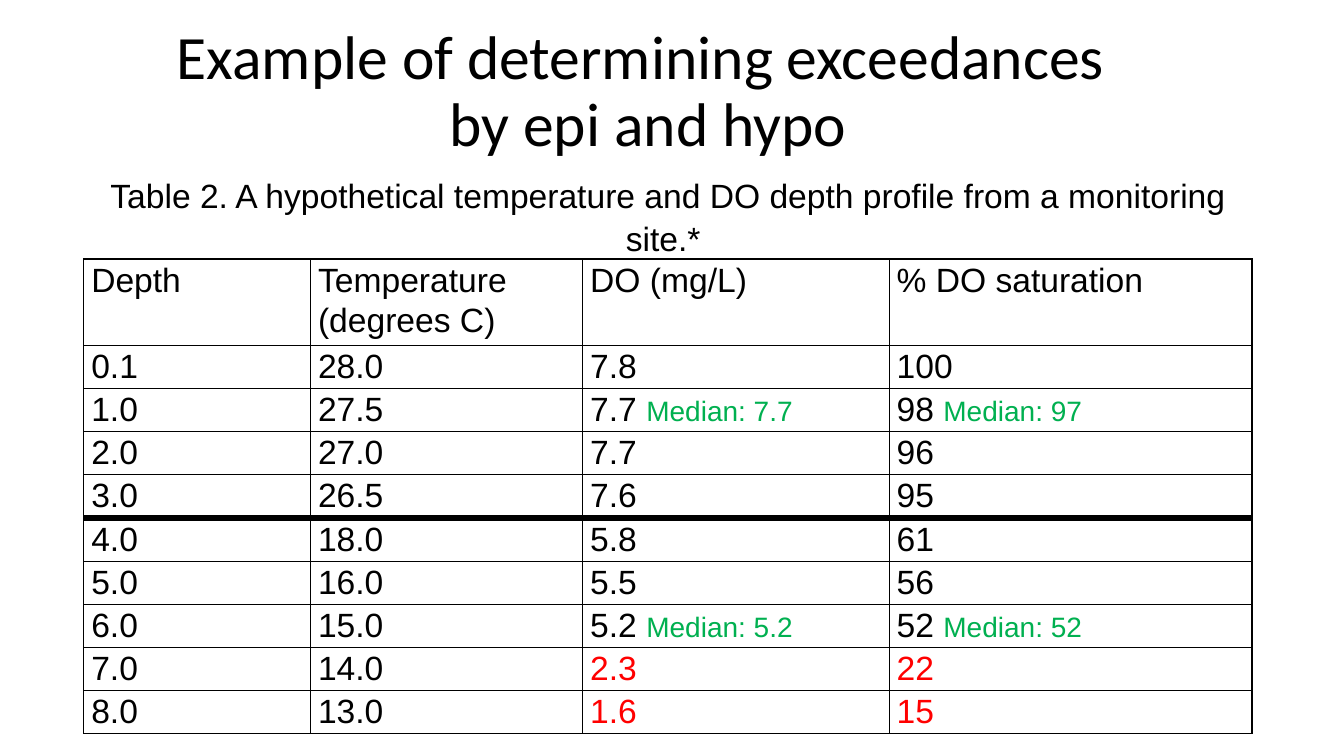
from pptx import Presentation
from pptx.dml.color import RGBColor
from pptx.enum.text import MSO_ANCHOR, PP_ALIGN
from pptx.oxml.ns import qn
from pptx.util import Pt
from lxml.etree import SubElement

BLACK, GREEN, RED = "000000", "00B050", "FF0000"
CAPTION = "Table 2. A hypothetical temperature and DO depth profile from a monitoring site.* "
COLUMN_WIDTHS = [162, 194.4, 218.9, 259.2]
HEADER = ["Depth", "Temperature (degrees C)", "DO (mg/L)", "% DO saturation"]
PROFILE = [
    ["0.1", "28.0", "7.8", "100"],
    ["1.0", "27.5", "7.7", "98"],
    ["2.0", "27.0", "7.7", "96"],
    ["3.0", "26.5", "7.6", "95"],
    ["4.0", "18.0", "5.8", "61"],
    ["5.0", "16.0", "5.5", "56"],
    ["6.0", "15.0", "5.2", "52"],
    ["7.0", "14.0", "2.3", "22"],
    ["8.0", "13.0", "1.6", "15"],
]
MEDIANS = {("1.0", 2): "7.7", ("1.0", 3): "97", ("6.0", 2): "5.2", ("6.0", 3): "52"}
EXCEEDING_DEPTHS = ("7.0", "8.0")
LAST_EPI_ROW = 5


def rgb(value):
    return RGBColor.from_string(value)


def set_font(font, name, size, color):
    font.name = name
    font.size = Pt(size)
    font.color.rgb = rgb(color)


def add_title(s, text):
    tf = s.shapes.add_textbox(Pt(32.4), Pt(14.4), Pt(861.1), Pt(104.4)).text_frame
    tf.word_wrap = True
    tf.vertical_anchor = MSO_ANCHOR.MIDDLE
    p = tf.paragraphs[0]
    p.text = text
    p.alignment = PP_ALIGN.CENTER
    p.line_spacing = 0.9
    set_font(p.font, "Calibri", 44, BLACK)


def set_borders(cell, widths):
    tc_pr = cell._tc.get_or_add_tcPr()
    for side, width in zip("LRTB", widths):
        ln = SubElement(tc_pr, qn(f"a:ln{side}"), w=str(Pt(width)))
        if width:
            fill = SubElement(ln, qn("a:solidFill"))
            SubElement(fill, qn("a:srgbClr"), val=BLACK)
        else:
            SubElement(ln, qn("a:noFill"))


def style_cell(cell, widths):
    set_borders(cell, widths)
    cell.fill.background()
    cell.margin_left = cell.margin_right = Pt(5.4)
    cell.margin_top = cell.margin_bottom = 0


def write_cell(cell, text, color=BLACK, median=None, spacing=1.07):
    p = cell.text_frame.paragraphs[0]
    p.line_spacing = spacing
    if median is None:
        p.text = text
        set_font(p.font, "Arial", 24, color)
        return p
    for part, size, shade in ((text + " ", 24, color), ("Median: " + median, 20, GREEN)):
        r = p.add_run()
        r.text = part
        set_font(r.font, "Arial", size, shade)
    return p


def border_widths(row):
    if row == 0:
        return 0, 0, 0, 1
    top = 4.5 if row == LAST_EPI_ROW + 1 else 1
    bottom = 4.5 if row == LAST_EPI_ROW else 1
    return 1, 1, top, bottom


def add_profile_table(s):
    heights = [92.4, 60] + [29.8] * len(PROFILE)
    table = s.shapes.add_table(len(heights), len(COLUMN_WIDTHS), Pt(59.8), Pt(92.6),
                               Pt(sum(COLUMN_WIDTHS)), Pt(sum(heights))).table
    table.first_row = table.horz_banding = False
    for column, width in zip(table.columns, COLUMN_WIDTHS):
        column.width = Pt(width)
    for i, height in enumerate(heights):
        table.rows[i].height = Pt(height)
        for cell in table.rows[i].cells:
            style_cell(cell, border_widths(i))

    caption = table.cell(0, 0)
    caption.merge(table.cell(0, len(COLUMN_WIDTHS) - 1))
    caption.vertical_anchor = MSO_ANCHOR.BOTTOM
    write_cell(caption, CAPTION, spacing=1.15).alignment = PP_ALIGN.CENTER

    for i, values in enumerate([HEADER] + PROFILE, 1):
        depth = values[0]
        for j, value in enumerate(values):
            color = RED if depth in EXCEEDING_DEPTHS and j >= 2 else BLACK
            write_cell(table.cell(i, j), value, color, MEDIANS.get((depth, j)))


def main():
    prs = Presentation()
    prs.slide_width, prs.slide_height = Pt(960), Pt(540)
    s = prs.slides.add_slide(prs.slide_layouts[6])
    add_title(s, "Example of determining exceedances \vby epi and hypo")
    add_profile_table(s)
    prs.save("out.pptx")


if __name__ == "__main__":
    main()
